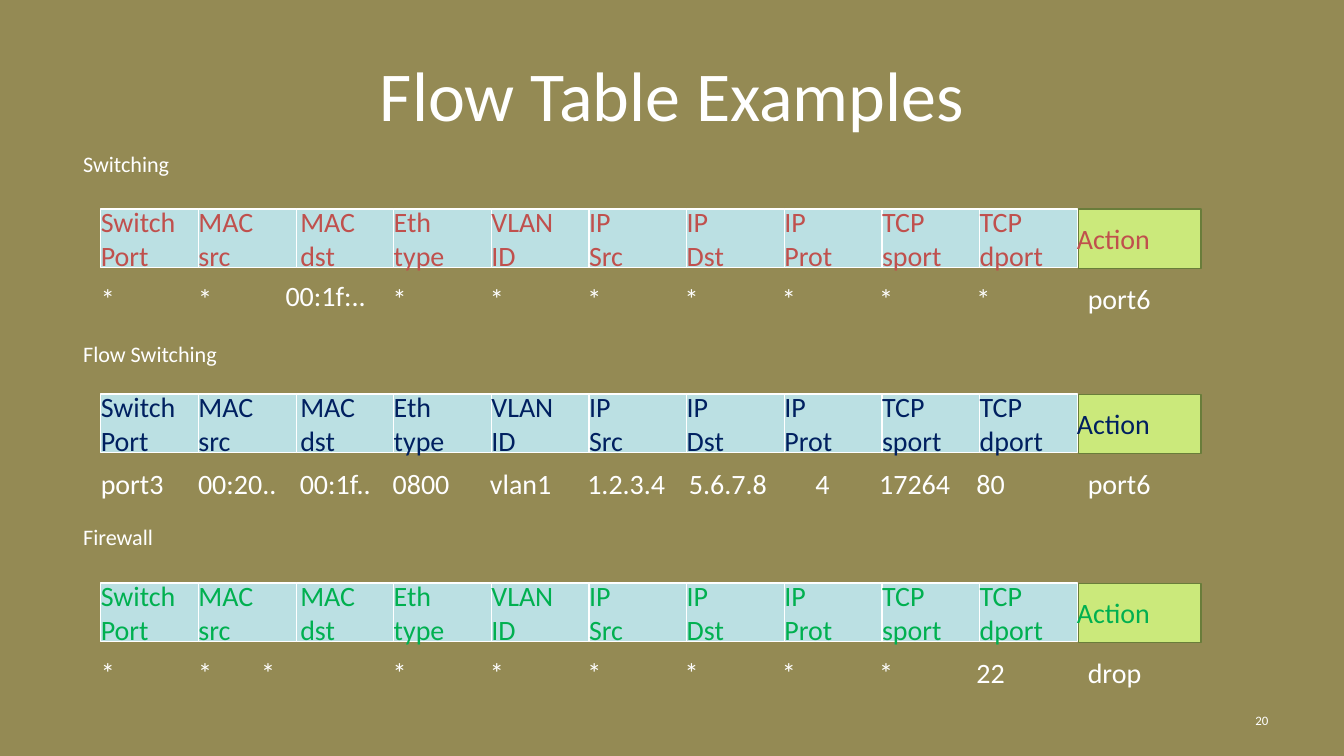
from pptx import Presentation
from pptx.dml.color import RGBColor
from pptx.enum.shapes import MSO_SHAPE as Shape
from pptx.enum.text import MSO_ANCHOR as Anchor, MSO_AUTO_SIZE as AutoSize, PP_ALIGN as Align
from pptx.util import Pt

OLIVE = RGBColor(0x94, 0x8A, 0x54)
WHITE = RGBColor(0xFF, 0xFF, 0xFF)
PALE_BLUE = RGBColor(0xBB, 0xE0, 0xE3)
LIME = RGBColor(0xCB, 0xE9, 0x7B)
DARK_GREEN = RGBColor(0x69, 0x7D, 0x3A)
RED = RGBColor(0xC0, 0x50, 0x4D)
NAVY = RGBColor(0x00, 0x20, 0x60)
GREEN = RGBColor(0x00, 0xB0, 0x50)

FONT = "Calibri"
LEFT = 86.4
FIELD_WIDTH = 83.7
VALUE_STEP = 83.4
FIELDS = ["Switch\nPort", "MAC\nsrc", "MAC\ndst", "Eth\ntype", "VLAN\nID",
          "IP\nSrc", "IP\nDst", "IP\nProt", "TCP\nsport", "TCP\ndport"]

# Heading, its top, header top, header colour, values, action, {column: (shift right, shift down)}
FLOW_TABLES = [
    ("Switching", 128.9, 179.2, RED,
     ["*", "*", "00:1f:..", "*", "*", "*", "*", "*", "*", "*"], "port6",
     {2: (-8.4, -2)}),
    ("Flow Switching", 291.6, 337.8, NAVY,
     ["port3", "00:20..", "00:1f..", "0800", "vlan1",
      "1.2.3.4", "5.6.7.8", "4", "17264", "80"], "port6",
     {2: (3.8, 0), 6: (3.8, 0), 7: (28.8, 0)}),
    ("Firewall", 448.6, 499.8, GREEN,
     ["*", "*", "*", "*", "*", "*", "*", "*", "*", "22"], "drop",
     {2: (-29.3, 0)}),
]


def add_text(shapes, text, left, top, width, height, size=24, color=WHITE):
    box = shapes.add_textbox(Pt(left), Pt(top), Pt(width), Pt(height))
    frame = box.text_frame
    frame.margin_left = frame.margin_right = frame.margin_top = frame.margin_bottom = 0
    frame.word_wrap = True
    frame.vertical_anchor = Anchor.MIDDLE
    frame.text = text
    for paragraph in frame.paragraphs:
        paragraph.font.name = FONT
        paragraph.font.size = Pt(size)
        paragraph.font.color.rgb = color
    return frame


def add_cell(shapes, left, top, width, height, fill, line):
    cell = shapes.add_shape(Shape.RECTANGLE, Pt(left), Pt(top), Pt(width), Pt(height))
    cell.shadow.inherit = False
    cell.fill.solid()
    cell.fill.fore_color.rgb = fill
    cell.line.color.rgb = line
    cell.line.width = Pt(1)


presentation = Presentation()
presentation.slide_width, presentation.slide_height = Pt(1152), Pt(648)
slide = presentation.slides.add_slide(presentation.slide_layouts[5])
slide.background.fill.solid()
slide.background.fill.fore_color.rgb = OLIVE

# Title
title = slide.shapes.title
title.left, title.top, title.width, title.height = Pt(57.6), Pt(25.9), Pt(1036.8), Pt(108)
title.text_frame.text = "Flow Table Examples"
title.text_frame.auto_size = AutoSize.NONE
title.text_frame.vertical_anchor = Anchor.MIDDLE
headline = title.text_frame.paragraphs[0]
headline.alignment = Align.CENTER
headline.font.name = FONT
headline.font.size = Pt(60)
headline.font.color.rgb = WHITE

for heading, heading_top, top, color, values, action, shifts in FLOW_TABLES:
    # Section heading
    heading_frame = add_text(slide.shapes, heading, 71.3, heading_top, 116, 23, 19)
    heading_frame.word_wrap = False
    heading_frame.auto_size = AutoSize.SHAPE_TO_FIT_TEXT

    # Header row
    header = slide.shapes.add_group_shape().shapes
    for column, field in enumerate(FIELDS):
        left = LEFT + column * FIELD_WIDTH
        add_cell(header, left, top, FIELD_WIDTH, 50.4, PALE_BLUE, WHITE)
        inset = 3.6 if field == "MAC\ndst" else 0
        add_text(header, field, left + inset, top - 2, FIELD_WIDTH - inset, 54, color=color)
    add_cell(header, 924.5, top, 105, 51, LIME, DARK_GREEN)
    add_text(header, "Action", 923, top + 10.2, 106, 30, color=color)

    # Value row
    for column, value in enumerate(values):
        right, down = shifts.get(column, (0, 0))
        add_text(slide.shapes, value, LEFT + column * VALUE_STEP + right,
                 top + 61.2 + down, VALUE_STEP, 30)
    add_text(slide.shapes, action, 932.4, top + 61.2, VALUE_STEP, 30)

# Slide number
number = add_text(slide.shapes, "20", 825.8, 600.5, 261.4, 34.5, 11)
number.paragraphs[0].alignment = Align.RIGHT

presentation.save("out.pptx")
